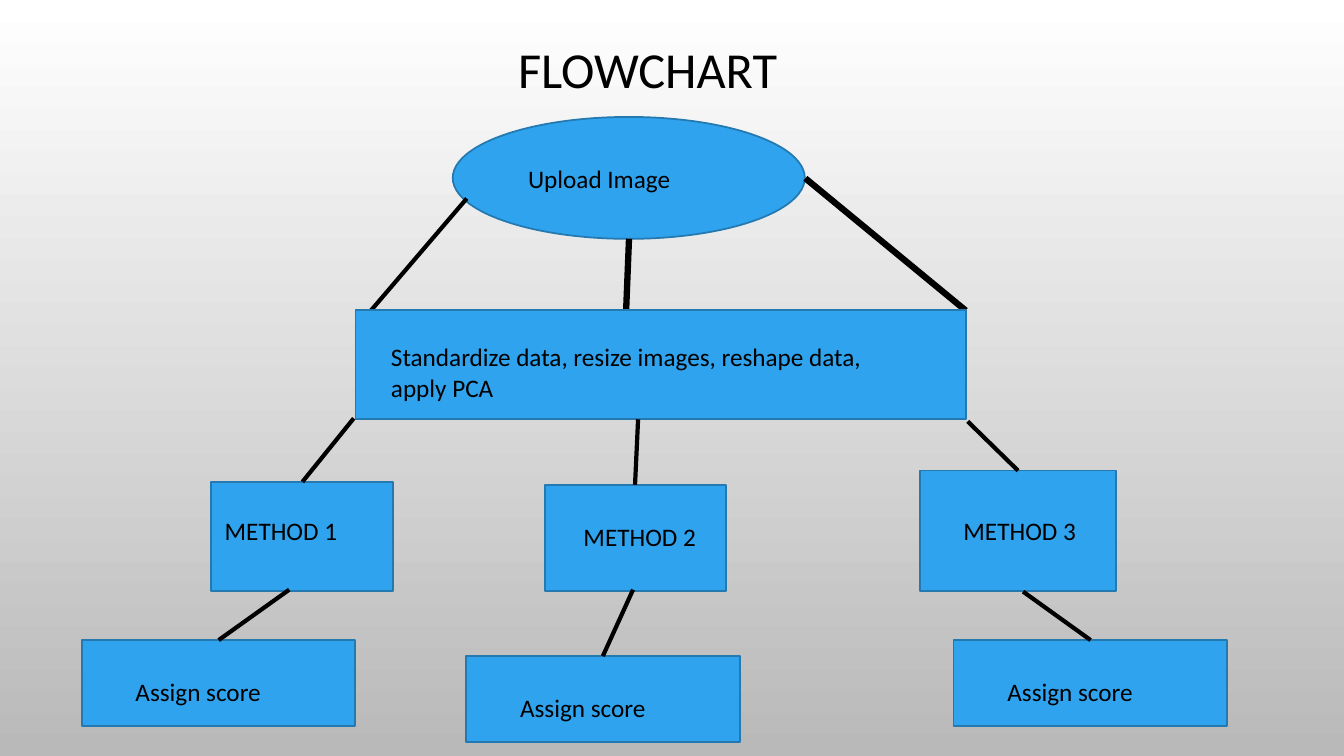
from dataclasses import dataclass

from lxml import etree
from pptx import Presentation
from pptx.dml.color import RGBColor
from pptx.enum.shapes import MSO_CONNECTOR, MSO_SHAPE
from pptx.enum.text import MSO_ANCHOR, MSO_AUTO_SIZE, PP_ALIGN
from pptx.oxml.ns import qn
from pptx.util import Pt

RECT, OVAL = MSO_SHAPE.RECTANGLE, MSO_SHAPE.OVAL
STRAIGHT = MSO_CONNECTOR.STRAIGHT
MIDDLE, CENTER = MSO_ANCHOR.MIDDLE, PP_ALIGN.CENTER
FIT_SHAPE = MSO_AUTO_SIZE.SHAPE_TO_FIT_TEXT


@dataclass(frozen=True)
class Theme:
    font: str = "Calibri"
    ink: RGBColor = RGBColor(0x00, 0x00, 0x00)
    fill: RGBColor = RGBColor(0x2F, 0xA3, 0xEE)
    outline: RGBColor = RGBColor(0x23, 0x79, 0xB0)
    bg_top: RGBColor = RGBColor(0xFF, 0xFF, 0xFF)
    bg_bottom: RGBColor = RGBColor(0xB9, 0xB9, 0xB9)
    title_size: float = 36
    body_size: float = 18
    outline_width: float = 1.25
    link_width: float = 3
    heavy_link_width: float = 4.5


class Flowchart:
    """Draws flowchart elements on one slide; all lengths are in points."""

    def __init__(self, slide, theme):
        self.slide, self.theme = slide, theme

    def background(self):
        fill = self.slide.background.fill
        fill.gradient()
        fill.gradient_angle = 270
        colors = (self.theme.bg_top, self.theme.bg_bottom)
        for stop, color in zip(fill.gradient_stops, colors):
            stop.color.rgb = color

    def style(self, p, size):
        p.font.name = self.theme.font
        p.font.size = Pt(size)
        p.font.color.rgb = self.theme.ink

    def title(self, text, x, y, w, h):
        sp = self.slide.shapes.title
        sp.left, sp.top, sp.width, sp.height = map(Pt, (x, y, w, h))
        tf = sp.text_frame
        tf.text = text
        tf.vertical_anchor = MIDDLE
        p = tf.paragraphs[0]
        p.alignment, p.line_spacing = CENTER, 0.9
        self.style(p, self.theme.title_size)

    def box(self, x, y, w, h, kind=RECT):
        sp = self.slide.shapes.add_shape(kind, *map(Pt, (x, y, w, h)))
        sp.shadow.inherit = False
        sp.fill.solid()
        sp.fill.fore_color.rgb = self.theme.fill
        sp.line.color.rgb = self.theme.outline
        sp.line.width = Pt(self.theme.outline_width)

    def label(self, text, x, y, w, h):
        tf = self.slide.shapes.add_textbox(*map(Pt, (x, y, w, h))).text_frame
        tf.word_wrap = True
        tf.auto_size = FIT_SHAPE
        tf.text = text
        self.style(tf.paragraphs[0], self.theme.body_size)

    def link(self, x1, y1, x2, y2, width):
        line = self.slide.shapes.add_connector(STRAIGHT, *map(Pt, (x1, y1, x2, y2)))
        line.line.color.rgb = self.theme.ink
        line.line.width = Pt(width)
        etree.SubElement(line._element.spPr, qn("a:effectLst"))


# Per method: box, label position, link from the data step,
# score box position, link to the score box
METHODS = [
    ((151, 344.2, 129.6, 77.8), (153.4, 364.3), (252.7, 298.8, 216, 344.2),
     (58.3, 457.2), (206.6, 421.2, 156.2, 457.2)),
    ((389.5, 346.3, 128.9, 76), (409.7, 368.6), (455.8, 299.5, 453.6, 346.3),
     (333, 468.7), (452.2, 421.2, 430.6, 468.7)),
    ((657.4, 336.2, 139.7, 86), (681.1, 364.3), (691.2, 301, 727.2, 336.2),
     (681.1, 457.2), (730.8, 422.6, 779, 457.2)),
]


def main():
    prs = Presentation()
    prs.slide_width, prs.slide_height = Pt(960), Pt(540)
    theme = Theme()
    chart = Flowchart(prs.slides.add_slide(prs.slide_layouts[5]), theme)
    thin, heavy = theme.link_width, theme.heavy_link_width

    chart.background()
    chart.title("FLOWCHART", 54.7, -11.5, 815.8, 126)

    chart.box(323.4, 83.5, 251.5, 87.1, OVAL)
    chart.label("Upload Image", 370.1, 113, 157.7, 28.8)
    chart.link(333.4, 141.8, 265, 221.8, thin)
    chart.link(449.3, 170.6, 446.4, 242.6, heavy)
    chart.link(575.3, 127.4, 689.8, 221.8, heavy)

    chart.box(254, 221.6, 436.3, 77.8)
    chart.label("Standardize data, resize images, reshape data, apply PCA",
                272.2, 240.5, 384.5, 51.1)

    for number, (box, label, link_in, score, link_out) in enumerate(METHODS, 1):
        chart.box(*box)
        chart.label(f"METHOD {number}", *label, 118.8, 28.8)
        chart.link(*link_in, thin)
        x, y = score
        chart.box(x, y, 195.4, 61.4)
        chart.label("Assign score", x + 31.4, y + 22.3, 196.6, 30.2)
        chart.link(*link_out, thin)

    prs.save("out.pptx")


if __name__ == "__main__":
    main()
